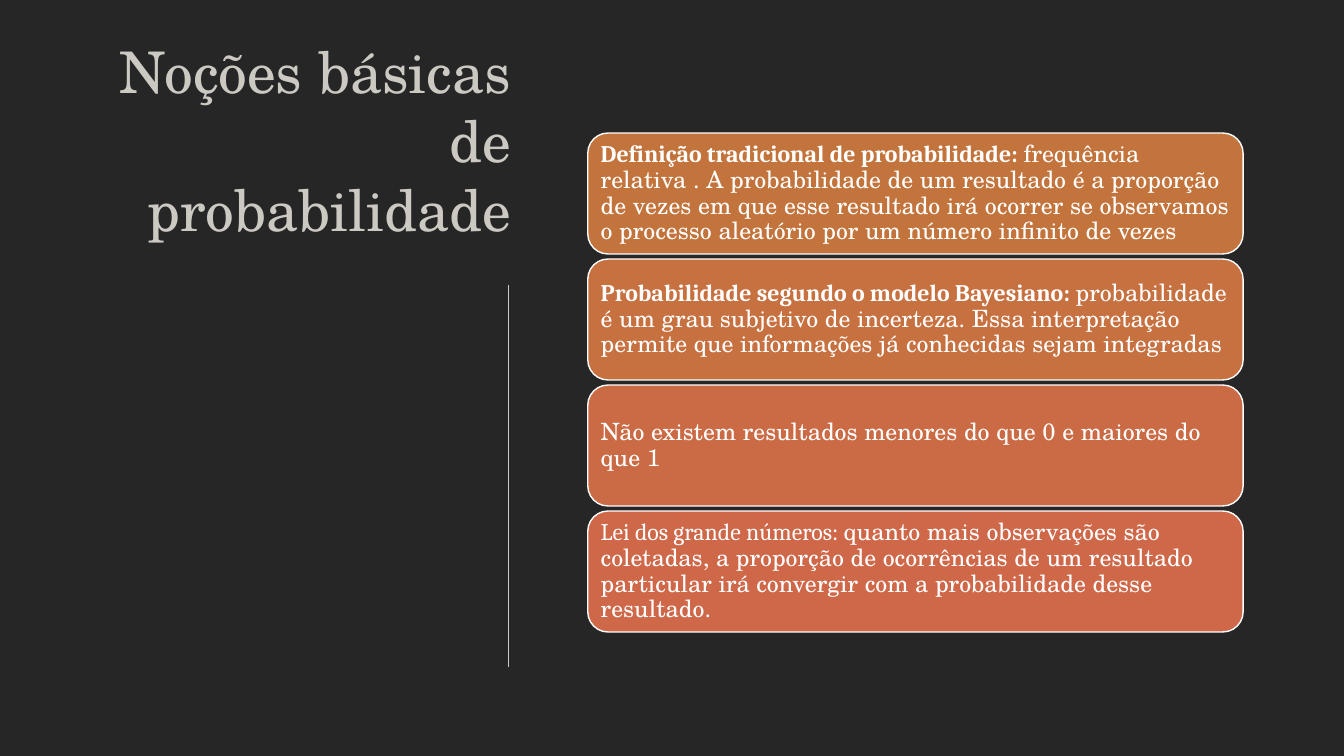
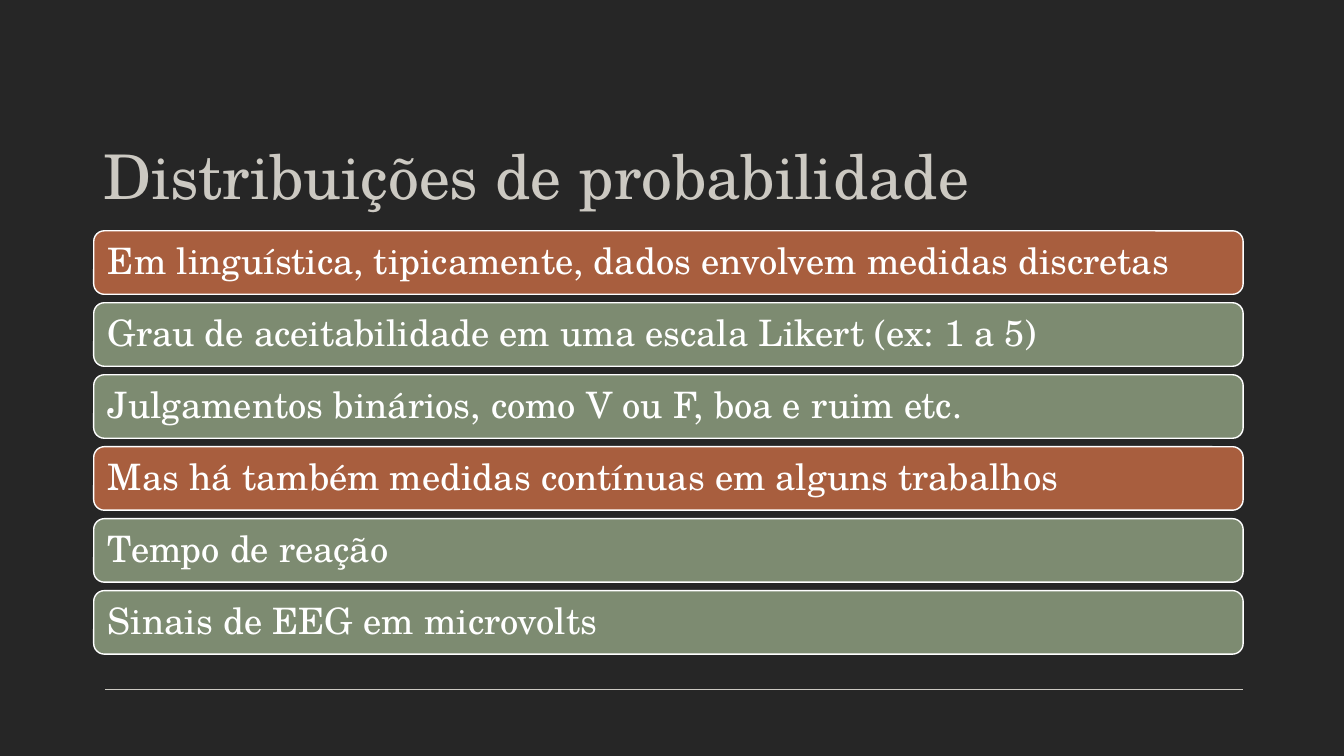
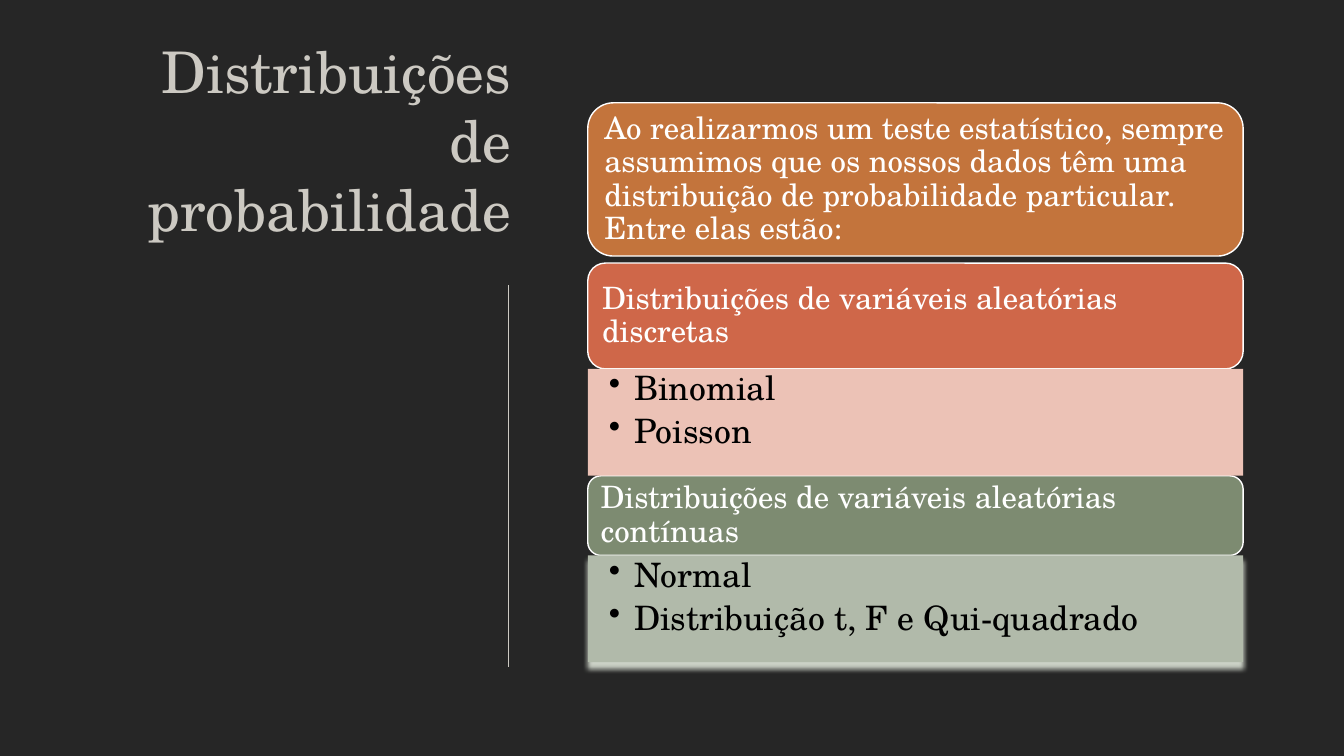
"""Build three slides on basic probability and probability distributions."""
from pptx import Presentation, util as u
from pptx.dml.color import RGBColor
from pptx.enum import shapes, text
from pptx.oxml import parse_xml
from pptx.oxml.ns import nsdecls, qn

SERIF, LABEL = "TeX Gyre Schola", "Cambria"
DARK, CREAM, WHITE, BLACK = "262626", "CCC9C2", "FFFFFF", "000000"
ORANGE, CORAL, RUST, SAGE = "C3743C", "CF6749", "A85E3E", "7D8B71"
PALE_CORAL, PALE_SAGE, SAGE_SHADOW = "ECC2B6", "B1BAAA", "CBD1C6"
STACK_LEFT, STACK_WIDTH = 5.83, 6.5
WIDE_LEFT, WIDE_WIDTH = 0.93, 11.4


def paint(color_format, value):
    color_format.rgb = RGBColor.from_string(value)


def fill(target, value):
    target.fill.solid()
    paint(target.fill.fore_color, value)


def set_frame(frame, anchor, left, top, right, bottom):
    frame.word_wrap = True
    frame.vertical_anchor = anchor
    frame.margin_left, frame.margin_right = u.Inches(left), u.Inches(right)
    frame.margin_top, frame.margin_bottom = u.Inches(top), u.Inches(bottom)


def add_run(paragraph, words, size, color, font=SERIF, bold=False):
    run = paragraph.add_run()
    run.text = words
    run.font.name, run.font.size, run.font.bold = font, u.Pt(size), bold
    paint(run.font.color, color)


def add_title(slide, words, box, size, align):
    frame = slide.shapes.add_textbox(*map(u.Inches, box)).text_frame
    set_frame(frame, text.MSO_ANCHOR.BOTTOM, 0.1, 0.05, 0.1, 0.05)
    frame.paragraphs[0].alignment = align
    add_run(frame.paragraphs[0], words, size, CREAM)


def add_rule(slide, *ends):
    rule = slide.shapes.add_connector(
        shapes.MSO_CONNECTOR.STRAIGHT, *map(u.Inches, ends))
    rule.line.width = u.Pt(0.85)
    paint(rule.line.color, CREAM)
    rule._element.spPr.append(parse_xml(f"<a:effectLst {nsdecls('a')}/>"))


def add_side_title(slide, words):
    add_title(slide, words, (0.86, 0.88, 4.31, 1.58), 41, text.PP_ALIGN.RIGHT)
    add_rule(slide, 5.04, 2.83, 5.04, 6.62)


def add_block(slide, kind, box, color):
    block = slide.shapes.add_shape(kind, *map(u.Inches, box))
    block.shadow.inherit = False
    fill(block, color)
    return block


def add_panel(slide, box, color, runs, size, inset):
    panel = add_block(slide, shapes.MSO_SHAPE.ROUNDED_RECTANGLE, box, color)
    panel.line.width = u.Pt(1)
    paint(panel.line.color, WHITE)
    set_frame(panel.text_frame, text.MSO_ANCHOR.MIDDLE, *[inset] * 4)
    paragraph = panel.text_frame.paragraphs[0]
    paragraph.alignment = text.PP_ALIGN.LEFT
    paragraph.line_spacing = 0.9
    for words, *style in runs:
        add_run(paragraph, words, size, WHITE, *style)


def add_bullets(slide, top, color, items):
    block = add_block(slide, shapes.MSO_SHAPE.RECTANGLE,
                      (STACK_LEFT, top, STACK_WIDTH, 1.06), color)
    block.line.fill.background()
    frame = block.text_frame
    set_frame(frame, text.MSO_ANCHOR.TOP, 0.21, 0.03, 0.19, 0.03)
    for i, item in enumerate(items):
        paragraph = frame.add_paragraph() if i else frame.paragraphs[0]
        paragraph.alignment = text.PP_ALIGN.LEFT
        paragraph.line_spacing = 0.9
        paragraph.space_after = u.Pt(4.8)
        properties = paragraph._p.get_or_add_pPr()
        properties.set("marL", str(u.Inches(0.25)))
        properties.set("indent", str(u.Inches(-0.25)))
        properties.append(parse_xml(f'<a:buChar {nsdecls("a")} char="•"/>'))
        add_run(paragraph, item, 24, BLACK)
    return block


def add_drop_shadow(block, color):
    effects = block._element.spPr.find(qn("a:effectLst"))
    effects.append(parse_xml(
        f'<a:outerShdw {nsdecls("a")} blurRad="{u.Pt(4)}" dist="{u.Pt(4)}" '
        f'dir="5400000" rotWithShape="0"><a:srgbClr val="{color}"/></a:outerShdw>'))


def build_basics(slide):
    add_side_title(slide, "Noções básicas de probabilidade")
    ideas = [
        (ORANGE, [("Definição tradicional de probabilidade: ", LABEL, True),
                  ("frequência relativa . A probabilidade de um resultado é a "
                   "proporção de vezes em que esse resultado irá ocorrer se "
                   "observamos o processo aleatório por um número infinito de vezes",)]),
        ("C77040", [("Probabilidade segundo o modelo Bayesiano: ", LABEL, True),
                    ("probabilidade é um grau subjetivo de incerteza. Essa "
                     "interpretação permite que informações já conhecidas "
                     "sejam integradas",)]),
        ("CB6B45", [("Não existem resultados menores do que 0 e maiores do que 1",)]),
        (CORAL, [("Lei dos grande números: ", LABEL),
                 ("quanto mais observações são coletadas, a proporção de "
                  "ocorrências de um resultado particular irá convergir com a "
                  "probabilidade desse resultado.",)]),
    ]
    for i, (color, runs) in enumerate(ideas):
        box = (STACK_LEFT, 1.32 + 1.25 * i, STACK_WIDTH, 1.2)
        add_panel(slide, box, color, runs, 17, 0.07)


def build_measures(slide):
    add_rule(slide, 1.04, 6.84, 12.33, 6.84)
    add_title(slide, "Distribuições de probabilidade",
              (WIDE_LEFT, 0.96, WIDE_WIDTH, 1.19), 44, text.PP_ALIGN.LEFT)
    measures = [
        (RUST, "Em linguística, tipicamente, dados envolvem medidas discretas"),
        (SAGE, "Grau de aceitabilidade em uma escala Likert (ex: 1 a 5)"),
        (SAGE, "Julgamentos binários, como V ou F, boa e ruim etc."),
        (RUST, "Mas há também medidas contínuas em alguns trabalhos"),
        (SAGE, "Tempo de reação"),
        (SAGE, "Sinais de EEG em microvolts"),
    ]
    first, last = 2.29, 5.86
    pitch = (last - first) / (len(measures) - 1)
    for i, (color, words) in enumerate(measures):
        box = (WIDE_LEFT, first + pitch * i, WIDE_WIDTH, 0.63)
        add_panel(slide, box, color, [(words,)], 26, 0.11)


def build_distributions(slide):
    add_side_title(slide, "Distribuições de probabilidade")
    headings = [
        (1.02, 1.52, ORANGE,
         "Ao realizarmos um teste estatístico, sempre assumimos que os nossos "
         "dados têm uma distribuição de probabilidade particular. Entre elas estão:"),
        (2.61, 1.05, CORAL, "Distribuições de variáveis aleatórias discretas"),
        (4.72, 0.79, SAGE, "Distribuições de variáveis aleatórias contínuas"),
    ]
    for top, height, color, words in headings:
        box = (STACK_LEFT, top, STACK_WIDTH, height)
        add_panel(slide, box, color, [(words,)], 22, 0.09)
    add_bullets(slide, 3.66, PALE_CORAL, ["Binomial", "Poisson"])
    continuous = add_bullets(slide, 5.51, PALE_SAGE,
                             ["Normal", "Distribuição t, F e Qui-quadrado"])
    add_drop_shadow(continuous, SAGE_SHADOW)


def main():
    deck = Presentation()
    deck.slide_width, deck.slide_height = u.Inches(13.33), u.Inches(7.5)
    fill(deck.slide_master.background, DARK)
    for build in (build_basics, build_measures, build_distributions):
        build(deck.slides.add_slide(deck.slide_layouts[6]))
    deck.save("out.pptx")


if __name__ == "__main__":
    main()
